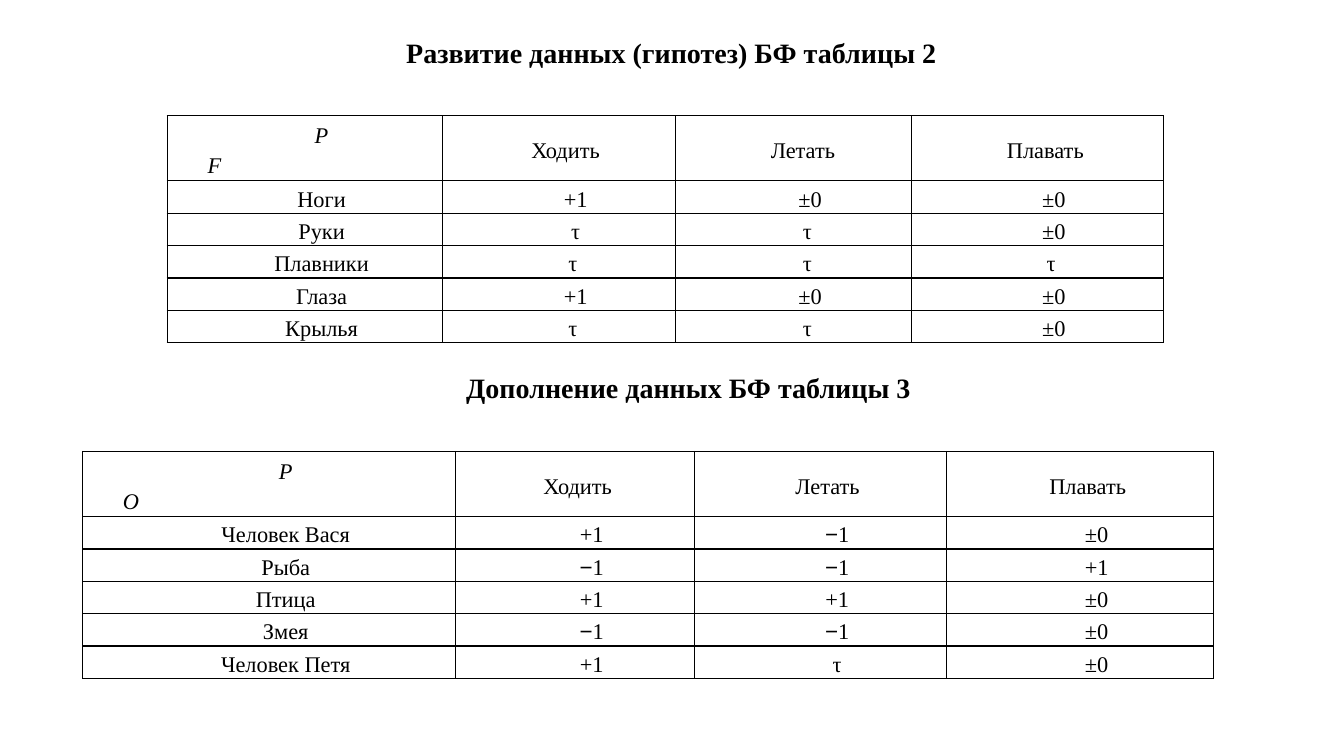
import lxml.etree
import pptx
import pptx.dml.color
import pptx.enum.text
import pptx.oxml.ns
import pptx.util

BLACK = pptx.dml.color.RGBColor(0, 0, 0)
WHITE = pptx.dml.color.RGBColor(255, 255, 255)
CENTER = pptx.enum.text.PP_ALIGN.CENTER
LEFT = pptx.enum.text.PP_ALIGN.LEFT
MIDDLE = pptx.enum.text.MSO_ANCHOR.MIDDLE
TOP = pptx.enum.text.MSO_ANCHOR.TOP

# Values and column widths (percent of the slide width)
HYPOTHESIS_WIDTHS = [20.48, 17.33, 17.55, 18.75]
HYPOTHESIS_INDENTS = [0.25, 0.05, 0.11, 0.08]
HYPOTHESIS_ROWS = [
    ["P\nF", "Ходить", "Летать", "Плавать"],
    ["Ноги", "+1", "±0", "±0"],
    ["Руки", "τ", "τ ", "±0"],
    ["Плавники", "τ ", "τ ", "τ "],
    ["Глаза", "+1", "±0", "±0"],
    ["Крылья", "τ ", "τ ", "±0"],
]
OBJECT_WIDTHS = [27.75, 17.78, 18.75, 19.88]
OBJECT_INDENTS = [0.25, -0.03, 0.06, 0.07]
OBJECT_ROWS = [
    ["P\nO", "Ходить", "Летать", "Плавать"],
    ["Человек Вася", "+1", "−1", "±0"],
    ["Рыба", "−1", "−1", "+1"],
    ["Птица", "+1", "+1", "±0"],
    ["Змея", "−1", "−1", "±0"],
    ["Человек Петя", "+1", "τ", "±0"],
]


class TableSlide:
    """Style and current slide; lengths are percent of the slide's size."""

    font_name = "Times New Roman"
    minus_font = "Arial"
    heading_size = 20
    cell_size = 16
    margin = 0.08
    indent = 0.25
    header_height = 8.6
    row_height = 4.28

    def __init__(self, presentation):
        self.presentation = presentation
        self.slide = presentation.slides.add_slide(presentation.slide_layouts[5])
        self.slide.background.fill.solid()
        self.slide.background.fill.fore_color.rgb = WHITE

    def across(self, percent):
        return round(self.presentation.slide_width * percent / 100)

    def down(self, percent):
        return round(self.presentation.slide_height * percent / 100)

    def format_paragraph(self, paragraph, size, indent, alignment=CENTER):
        paragraph.alignment = alignment
        paragraph.line_spacing = 1.2
        paragraph.font.name = self.font_name
        paragraph.font.size = pptx.util.Pt(size)
        paragraph.font.color.rgb = BLACK
        properties = paragraph._p.get_or_add_pPr()
        properties.set("marL", str(pptx.util.Inches(self.margin)))
        properties.set("indent", str(pptx.util.Inches(indent)))

    def heading(self, text, left, top, width, height, shape=None):
        box = [self.across(left), self.down(top), self.across(width), self.down(height)]
        if shape is None:
            shape = self.slide.shapes.add_textbox(*box)
        shape.left, shape.top, shape.width, shape.height = box
        frame = shape.text_frame
        frame.text = text
        frame.word_wrap = False
        frame.vertical_anchor = TOP
        frame.auto_size = pptx.enum.text.MSO_AUTO_SIZE.SHAPE_TO_FIT_TEXT
        paragraph = frame.paragraphs[0]
        self.format_paragraph(paragraph, self.heading_size, self.indent)
        paragraph.font.bold = True

    def border(self, cell):
        properties = cell._tc.get_or_add_tcPr()
        for side in ("a:lnL", "a:lnR", "a:lnT", "a:lnB"):
            line = lxml.etree.SubElement(
                properties, pptx.oxml.ns.qn(side), w=str(pptx.util.Pt(1)))
            fill = lxml.etree.SubElement(line, pptx.oxml.ns.qn("a:solidFill"))
            lxml.etree.SubElement(fill, pptx.oxml.ns.qn("a:srgbClr"), val=str(BLACK))

    def fill_cell(self, cell, text, indent):
        self.border(cell)
        cell.fill.background()
        cell.vertical_anchor = MIDDLE
        cell.margin_left = cell.margin_right = pptx.util.Inches(0.07)
        cell.margin_top = cell.margin_bottom = 0
        lines = text.split("\n")
        for number, line in enumerate(lines):
            frame = cell.text_frame
            paragraph = frame.add_paragraph() if number else frame.paragraphs[0]
            self.format_paragraph(
                paragraph, self.cell_size, indent, LEFT if number else CENTER)
            paragraph.font.italic = len(lines) > 1
            # The minus sign has its own font
            if line.startswith("−"):
                minus = paragraph.add_run()
                minus.text = "−"
                minus.font.name = self.minus_font
                line = line[1:]
            paragraph.add_run().text = line

    def table(self, left, top, widths, rows, header_indents):
        heights = [self.header_height] + [self.row_height] * (len(rows) - 1)
        table = self.slide.shapes.add_table(
            len(rows), len(widths), self.across(left), self.down(top),
            self.across(sum(widths)), self.down(sum(heights))).table
        table.first_row = table.horz_banding = False
        for column, width in zip(table.columns, widths):
            column.width = self.across(width)
        for row_number, (row, height) in enumerate(zip(rows, heights)):
            table.rows[row_number].height = self.down(height)
            for column_number, text in enumerate(row):
                indent = self.indent if row_number else header_indents[column_number]
                self.fill_cell(table.cell(row_number, column_number), text, indent)


def main():
    presentation = pptx.Presentation()
    presentation.slide_width = pptx.util.Inches(13.33)
    presentation.slide_height = pptx.util.Inches(7.5)
    page = TableSlide(presentation)

    # Hypotheses
    page.heading("Развитие данных (гипотез) БФ таблицы 2",
                 26.4, 3.2, 44.64, 6.67, page.slide.shapes.title)
    page.table(12.45, 15.33, HYPOTHESIS_WIDTHS, HYPOTHESIS_ROWS, HYPOTHESIS_INDENTS)

    # Objects
    page.heading("Дополнение данных БФ таблицы 3", 30.9, 47.47, 38.18, 6.67)
    page.table(6.15, 59.73, OBJECT_WIDTHS, OBJECT_ROWS, OBJECT_INDENTS)

    presentation.save("out.pptx")


if __name__ == "__main__":
    main()
